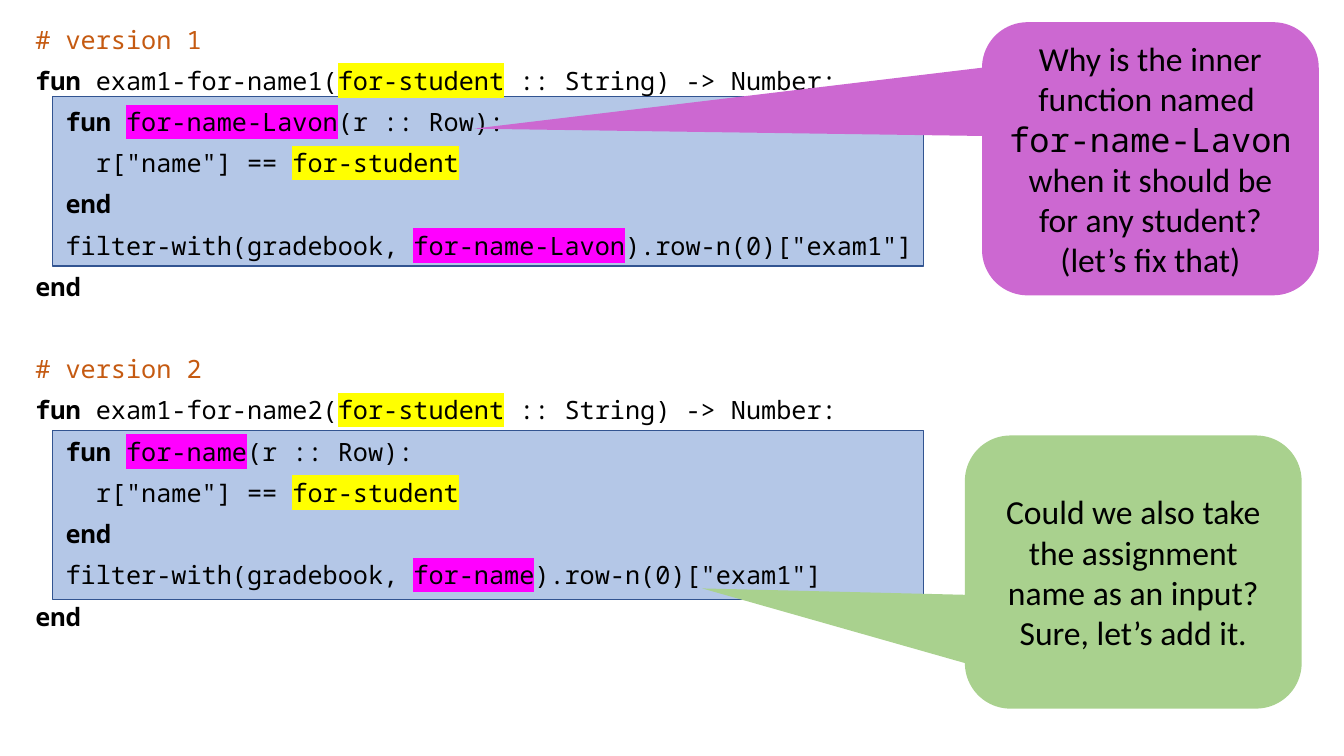
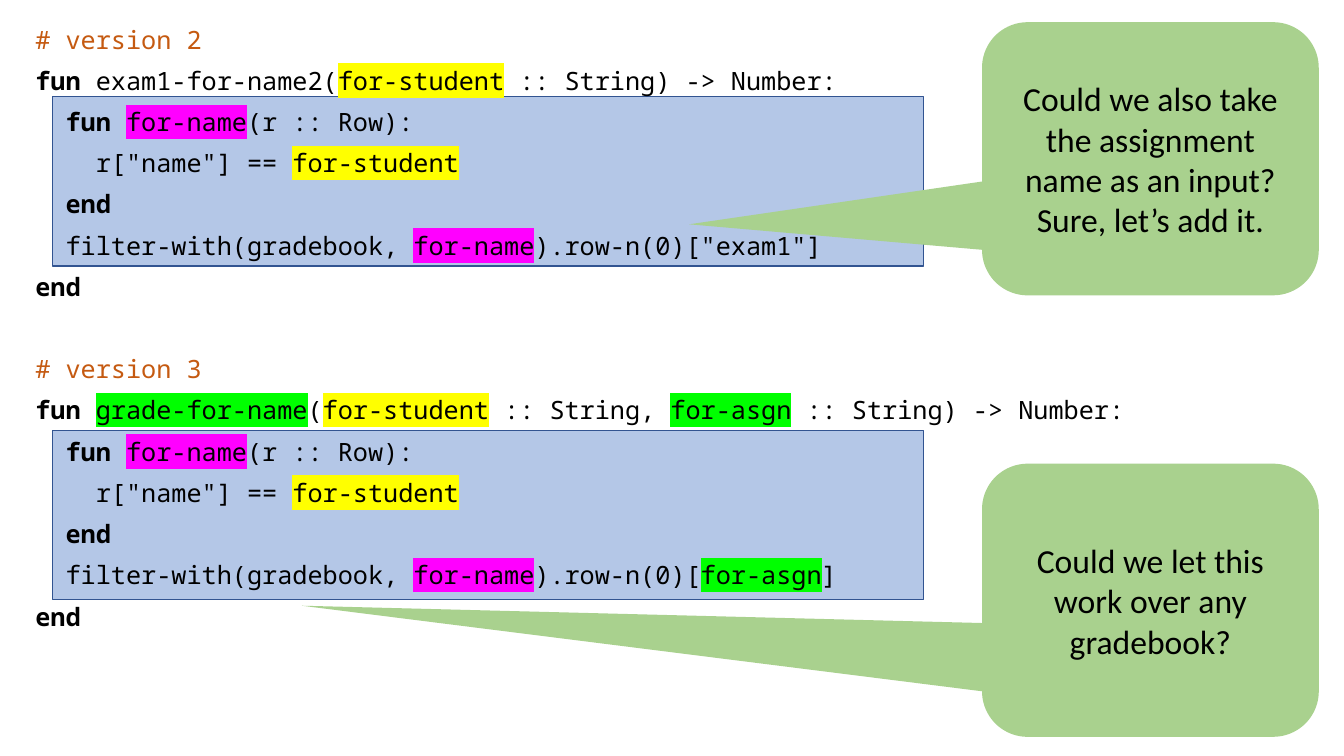
import pptx
import pptx.dml.color
import pptx.enum.shapes
import pptx.enum.text
import pptx.oxml.ns
import pptx.util
from lxml import etree

Inches = pptx.util.Inches
Pt = pptx.util.Pt
RGBColor = pptx.dml.color.RGBColor
qn = pptx.oxml.ns.qn

BLACK = RGBColor(0x00, 0x00, 0x00)
COMMENT_ORANGE = RGBColor(0xC5, 0x5A, 0x11)
PANEL_FILL = RGBColor(0xB4, 0xC7, 0xE7)
PANEL_LINE = RGBColor(0x32, 0x54, 0x91)
VIOLET = RGBColor(0xCC, 0x68, 0xD1)
GREEN = RGBColor(0xA9, 0xD1, 0x8E)
MARK_YELLOW = RGBColor(0xFF, 0xFF, 0x00)
MARK_MAGENTA = RGBColor(0xFF, 0x00, 0xFF)
MARK_GREEN = RGBColor(0x00, 0xFF, 0x00)

CODE_FONT = "Noto Sans Mono"
TEXT_FONT = "Calibri"
TWO_CONTENT_LAYOUT = 3

# Style name: (text colour, bold, highlight colour)
CODE_STYLES = {
    "plain": (BLACK, False, None),
    "comment": (COMMENT_ORANGE, False, None),
    "keyword": (BLACK, True, None),
    "student": (BLACK, False, MARK_YELLOW),
    "helper": (BLACK, False, MARK_MAGENTA),
    "new": (BLACK, False, MARK_GREEN),
}

CODE_LEFT, CODE_WIDTH, CODE_HEIGHT = 0.25, 12.39, 3.1
CODE_INDENT = 0.3
PANEL_INSET, PANEL_WIDTH, PANEL_HEIGHT = 0.27, 8.64, 1.68
# (code top, panel top) of the upper and the lower version
VERSION_TOPS = ((0.22, 0.96), (3.49, 4.27))
CALLOUT_WIDTH, CALLOUT_HEIGHT = 3.34, 2.71

STUDENT = ("for-student", "student")
ASSIGNMENT = ("for-asgn", "new")


def version_lines(number, signature, helper, column):
    """Return the code of one version as (indent level, segments) lines."""
    helper_name = (helper, "helper")
    return [
        (0, [(f"# version {number}", "comment")]),
        (0, [("fun ", "keyword"), *signature, (" :: String) -> Number:", "plain")]),
        (1, [("fun ", "keyword"), helper_name, ("(r :: Row):", "plain")]),
        (2, [('r["name"] == ', "plain"), STUDENT]),
        (1, [("end", "keyword")]),
        (1, [("filter-with(gradebook, ", "plain"), helper_name,
             (").row-n(0)[", "plain"), column, ("]", "plain")]),
        (0, [("end", "keyword")]),
    ]


EXAM = ('"exam1"', "plain")
VERSION_1 = version_lines(
    1, [("exam1-for-name1(", "plain"), STUDENT], "for-name-Lavon", EXAM)
VERSION_2 = version_lines(
    2, [("exam1-for-name2(", "plain"), STUDENT], "for-name", EXAM)
VERSION_3 = version_lines(
    3,
    [("grade-for-name", "new"), ("(", "plain"), STUDENT,
     (" :: String, ", "plain"), ASSIGNMENT],
    "for-name", ASSIGNMENT)

NAMING_QUESTION = [
    [("Why is the inner function named ", TEXT_FONT)],
    [("for-name-Lavon", CODE_FONT),
     (" when it should be for any student?", TEXT_FONT)],
    [("(let’s fix that)", TEXT_FONT)],
]
ASSIGNMENT_QUESTION = [
    [("Could we also take the assignment name as an input?", TEXT_FONT)],
    [("Sure, let’s add it.", TEXT_FONT)],
]
GRADEBOOK_QUESTION = [
    [("Could we let this work over any gradebook?", TEXT_FONT)],
]

# Per slide: the two versions, then callouts as
# (left, top, pointer offset, fill, paragraphs)
SLIDES = [
    ((VERSION_1, VERSION_2), (
        (9.74, 0.22, (-2.01, -0.11), VIOLET, NAMING_QUESTION),
        (9.57, 4.32, (-1.28, 0.06), GREEN, ASSIGNMENT_QUESTION))),
    ((VERSION_2, VERSION_3), (
        (9.74, 0.22, (-1.37, 0.24), GREEN, ASSIGNMENT_QUESTION),
        (9.74, 4.6, (-2.52, 0.02), GREEN, GRADEBOOK_QUESTION))),
]


def add_run(paragraph, text, font_name, size, color=BLACK, bold=False):
    run = paragraph.add_run()
    run.text = text
    run.font.size = Pt(size)
    run.font.bold = bold
    run.font.color.rgb = color
    run.font.name = font_name
    return run


def highlight(run, color):
    mark = etree.Element(qn("a:highlight"))
    etree.SubElement(mark, qn("a:srgbClr"), val=str(color))
    run.font.name = CODE_FONT
    run_properties = run.font._element
    run_properties.find(qn("a:latin")).addprevious(mark)


def format_code_paragraph(paragraph, level):
    paragraph.line_spacing = 0.9
    paragraph.space_before = Pt(10)
    paragraph.space_after = Pt(0)
    properties = paragraph._p.get_or_add_pPr()
    properties.set("marL", str(Inches(CODE_INDENT * level)))
    properties.set("indent", "0")
    etree.SubElement(properties, qn("a:buNone"))


def fill_code(placeholder, lines):
    frame = placeholder.text_frame
    frame.word_wrap = True
    frame.auto_size = pptx.enum.text.MSO_AUTO_SIZE.NONE
    for index, (level, segments) in enumerate(lines):
        paragraph = frame.add_paragraph() if index else frame.paragraphs[0]
        format_code_paragraph(paragraph, level)
        for text, style in segments:
            color, bold, mark = CODE_STYLES[style]
            run = add_run(paragraph, text, CODE_FONT, 18, color, bold)
            if mark is not None:
                highlight(run, mark)


def add_version(slide, placeholder, lines, left, top, panel_top):
    """Place one version's code with the panel behind its function body."""
    panel = slide.shapes.add_shape(
        pptx.enum.shapes.MSO_SHAPE.RECTANGLE,
        Inches(left + PANEL_INSET), Inches(panel_top),
        Inches(PANEL_WIDTH), Inches(PANEL_HEIGHT))
    panel.shadow.inherit = False
    panel.fill.solid()
    panel.fill.fore_color.rgb = PANEL_FILL
    panel.line.color.rgb = PANEL_LINE
    panel.line.width = Pt(1)
    placeholder.element.addprevious(panel.element)

    placeholder.left, placeholder.top = Inches(left), Inches(top)
    placeholder.width, placeholder.height = Inches(CODE_WIDTH), Inches(CODE_HEIGHT)
    fill_code(placeholder, lines)


def add_callout(slide, left, top, pointer, fill, paragraphs):
    callout = slide.shapes.add_shape(
        pptx.enum.shapes.MSO_SHAPE.ROUNDED_RECTANGULAR_CALLOUT,
        Inches(left), Inches(top), Inches(CALLOUT_WIDTH), Inches(CALLOUT_HEIGHT))
    callout.adjustments[0], callout.adjustments[1] = pointer
    callout.shadow.inherit = False
    callout.fill.solid()
    callout.fill.fore_color.rgb = fill
    callout.line.fill.background()
    frame = callout.text_frame
    frame.word_wrap = True
    frame.vertical_anchor = pptx.enum.text.MSO_ANCHOR.MIDDLE
    for index, segments in enumerate(paragraphs):
        paragraph = frame.add_paragraph() if index else frame.paragraphs[0]
        paragraph.alignment = pptx.enum.text.PP_ALIGN.CENTER
        for text, font_name in segments:
            add_run(paragraph, text, font_name, 24)


def add_comparison_slide(presentation, versions, callouts):
    slide = presentation.slides.add_slide(
        presentation.slide_layouts[TWO_CONTENT_LAYOUT])
    title, *bodies = slide.placeholders
    title.element.getparent().remove(title.element)
    for body, lines, (top, panel_top) in zip(bodies, versions, VERSION_TOPS):
        add_version(slide, body, lines, CODE_LEFT, top, panel_top)
    for callout in callouts:
        add_callout(slide, *callout)


def main():
    presentation = pptx.Presentation()
    presentation.slide_width = Inches(13.33)
    presentation.slide_height = Inches(7.5)
    for versions, callouts in SLIDES:
        add_comparison_slide(presentation, versions, callouts)
    presentation.save("out.pptx")


if __name__ == "__main__":
    main()
